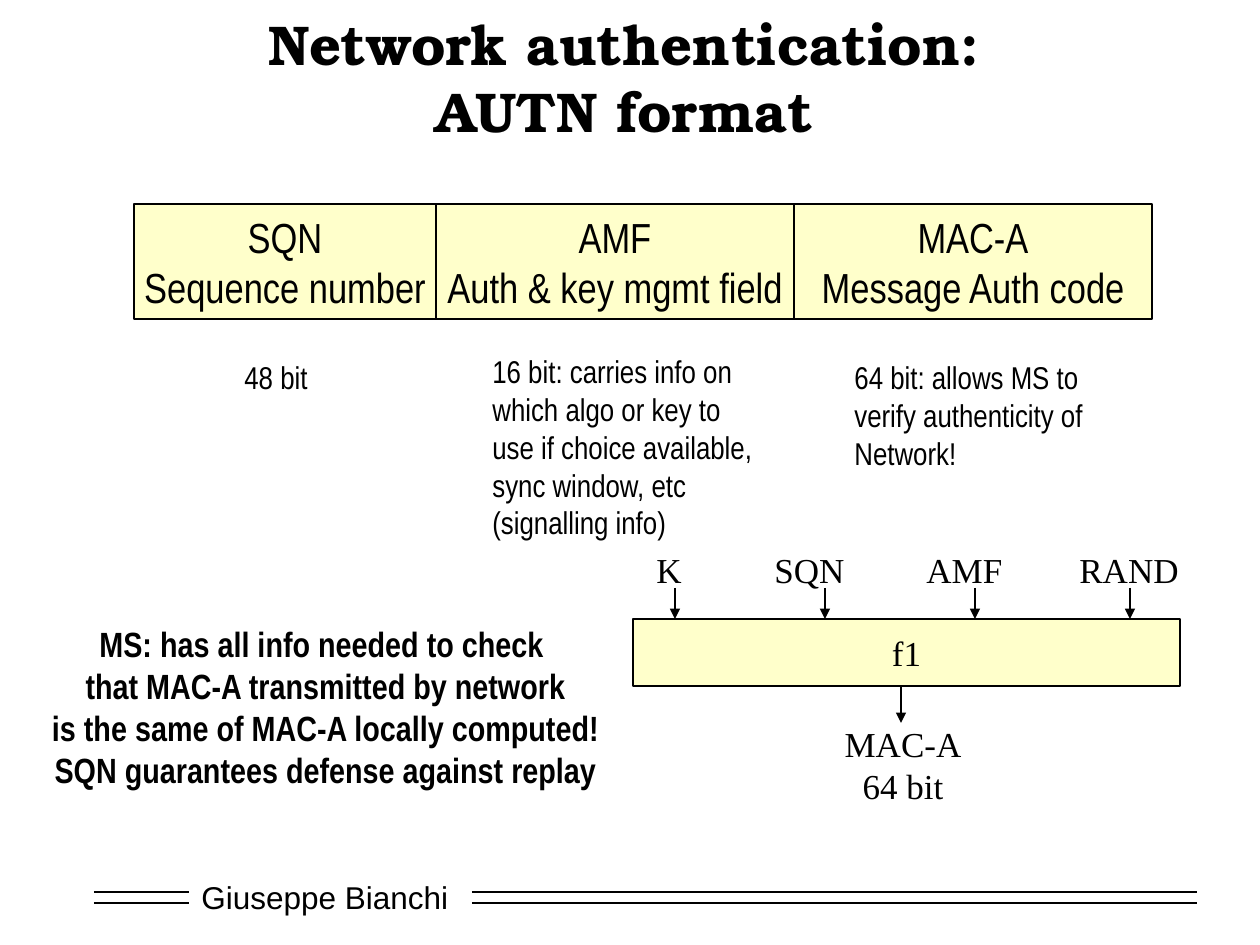
from itertools import pairwise, product

from lxml import etree
from pptx import Presentation
from pptx.dml.color import RGBColor
from pptx.enum.shapes import MSO_CONNECTOR, MSO_SHAPE
from pptx.enum.text import MSO_ANCHOR, PP_ALIGN
from pptx.oxml.ns import qn
from pptx.util import Pt

SCALE = 914400 / 126
RECTANGLE = MSO_SHAPE.RECTANGLE
STRAIGHT = MSO_CONNECTOR.STRAIGHT
TOP, MIDDLE = MSO_ANCHOR.TOP, MSO_ANCHOR.MIDDLE
LEFT, CENTER = PP_ALIGN.LEFT, PP_ALIGN.CENTER

BLACK = "000000"
YELLOW = "FFFF99"
NARROW = "Arial Narrow"
SERIF = "Times New Roman"

TITLE = {"name": "TeX Gyre Bonum", "size": Pt(32), "bold": True}
FIELD = {"name": NARROW, "size": Pt(24)}
NOTE = {"name": NARROW, "size": Pt(18)}
SIGNAL = {"name": SERIF, "size": Pt(20)}
CONCLUSION = {"name": NARROW, "size": Pt(20), "bold": True}
FOOTER = {"name": "Arial", "size": Pt(18)}


def px(*lengths):
    return [round(length * SCALE) for length in lengths]


def color(hex_value):
    return RGBColor.from_string(hex_value)


def write(shape, text, font, align, anchor, wrap):
    frame = shape.text_frame
    frame.text = text
    frame.word_wrap = wrap
    frame.vertical_anchor = anchor
    for paragraph in frame.paragraphs:
        paragraph.alignment = align
        for run in paragraph.runs:
            run.font.color.rgb = color(BLACK)
            for attribute, value in font.items():
                setattr(run.font, attribute, value)


def add_text(slide, box, text, font, align=LEFT, anchor=TOP, wrap=False):
    write(slide.shapes.add_textbox(*px(*box)), text, font, align, anchor, wrap)


def add_block(slide, box, text, font):
    block = slide.shapes.add_shape(RECTANGLE, *px(*box))
    block.shadow.inherit = False
    block.fill.solid()
    block.fill.fore_color.rgb = color(YELLOW)
    tint = block.fill._xPr.find(qn("a:solidFill"))[0]
    etree.SubElement(tint, qn("a:alpha"), val="50000")
    block.line.color.rgb = color(BLACK)
    block.line.width = Pt(1)
    write(block, text, font, CENTER, MIDDLE, False)


def add_line(slide, start, end, arrow=False):
    line = slide.shapes.add_connector(STRAIGHT, *px(*start, *end))
    line.line.color.rgb = color(BLACK)
    line.line.width = Pt(1)
    if arrow:
        etree.SubElement(line.line._get_or_add_ln(), qn("a:tailEnd"), type="triangle")
    etree.SubElement(line._element.spPr, qn("a:effectLst"))


def add_footer(slide):
    add_text(slide, (189, 872, 273, 50), "Giuseppe Bianchi", FOOTER, anchor=MIDDLE, wrap=True)
    for y, (left, right) in product((892, 903), ((94, 189), (472, 1197))):
        add_line(slide, (left, y), (right, y))


def add_autn_fields(slide):
    edges = (134, 436, 794, 1152)
    fields = ("SQN\nSequence number", "AMF\nAuth & key mgmt field", "MAC-A\nMessage Auth code")
    for (left, right), text in zip(pairwise(edges), fields):
        add_block(slide, (left, 204, right - left, 115), text, FIELD)

    notes = (
        ((232, 352, 96, 50), "48 bit"),
        ((480, 346, 285, 202),
         "16 bit: carries info on \vwhich algo or key to\vuse if choice available,\n"
         "sync window, etc\v(signalling info)"),
        ((842, 352, 261, 126),
         "64 bit: allows MS to \vverify authenticity of \vNetwork!"),
    )
    for box, text in notes:
        add_text(slide, box, text, NOTE)


def add_mac_function(slide):
    top, bottom = 619, 686
    add_block(slide, (633, top, 547, bottom - top), "f1", SIGNAL)
    inputs = (("K", 644, 50, 675), ("SQN", 762, 95, 825),
              ("AMF", 914, 101, 975), ("RAND", 1067, 125, 1130))
    for label, left, width, arrow_x in inputs:
        add_text(slide, (left, 542, width, 55), label, SIGNAL)
        add_line(slide, (arrow_x, 588), (arrow_x, top), arrow=True)
    add_line(slide, (901, bottom), (901, 723), arrow=True)
    add_text(slide, (832, 716, 142, 97), "MAC-A\n64 bit", SIGNAL, CENTER)


def main():
    presentation = Presentation()
    presentation.slide_width, presentation.slide_height = px(1260, 945)
    slide = presentation.slides.add_slide(presentation.slide_layouts[6])
    add_footer(slide)
    add_text(slide, (94, 32, 1061, 89), "Network authentication:\vAUTN format",
             TITLE, CENTER, MIDDLE, True)
    add_autn_fields(slide)
    add_mac_function(slide)
    add_text(slide, (39, 616, 573, 181),
             "MS: has all info needed to check \vthat MAC-A transmitted by network\v"
             "is the same of MAC-A locally computed!\nSQN guarantees defense against replay",
             CONCLUSION, CENTER)
    presentation.save("out.pptx")


if __name__ == "__main__":
    main()
